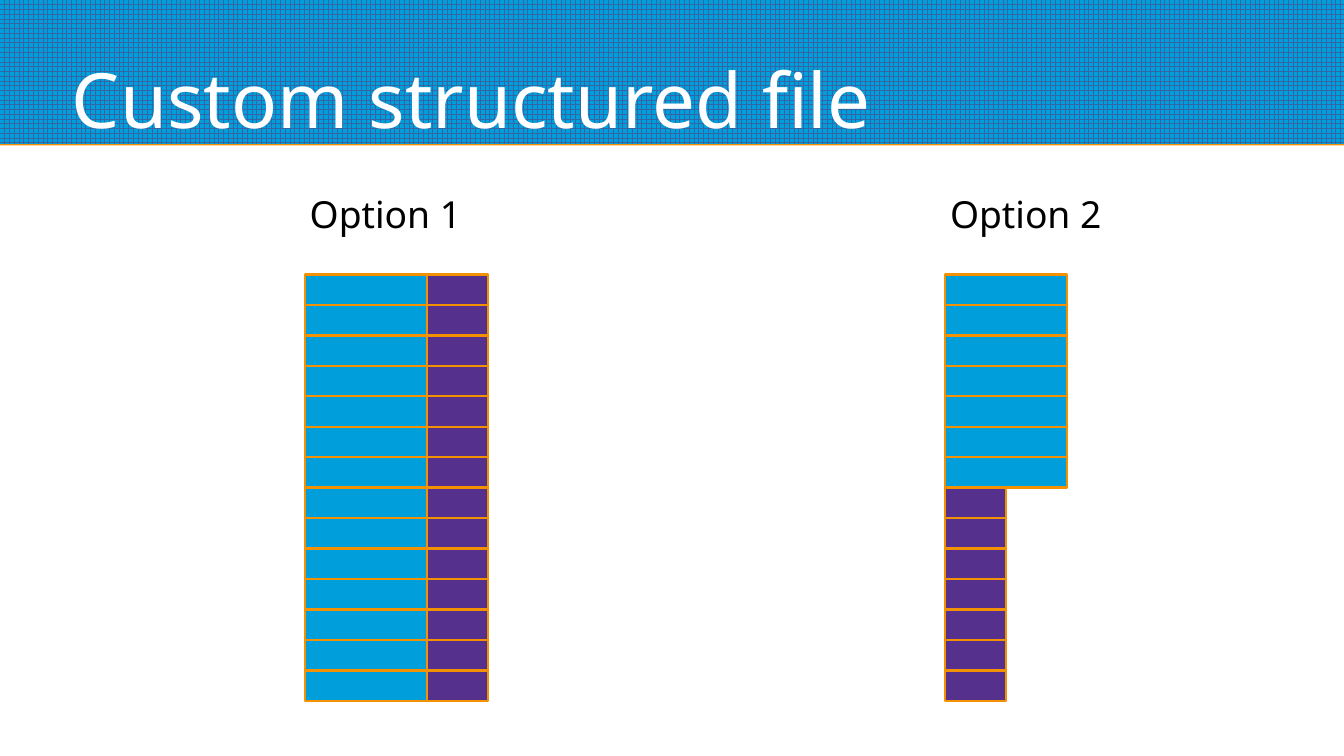
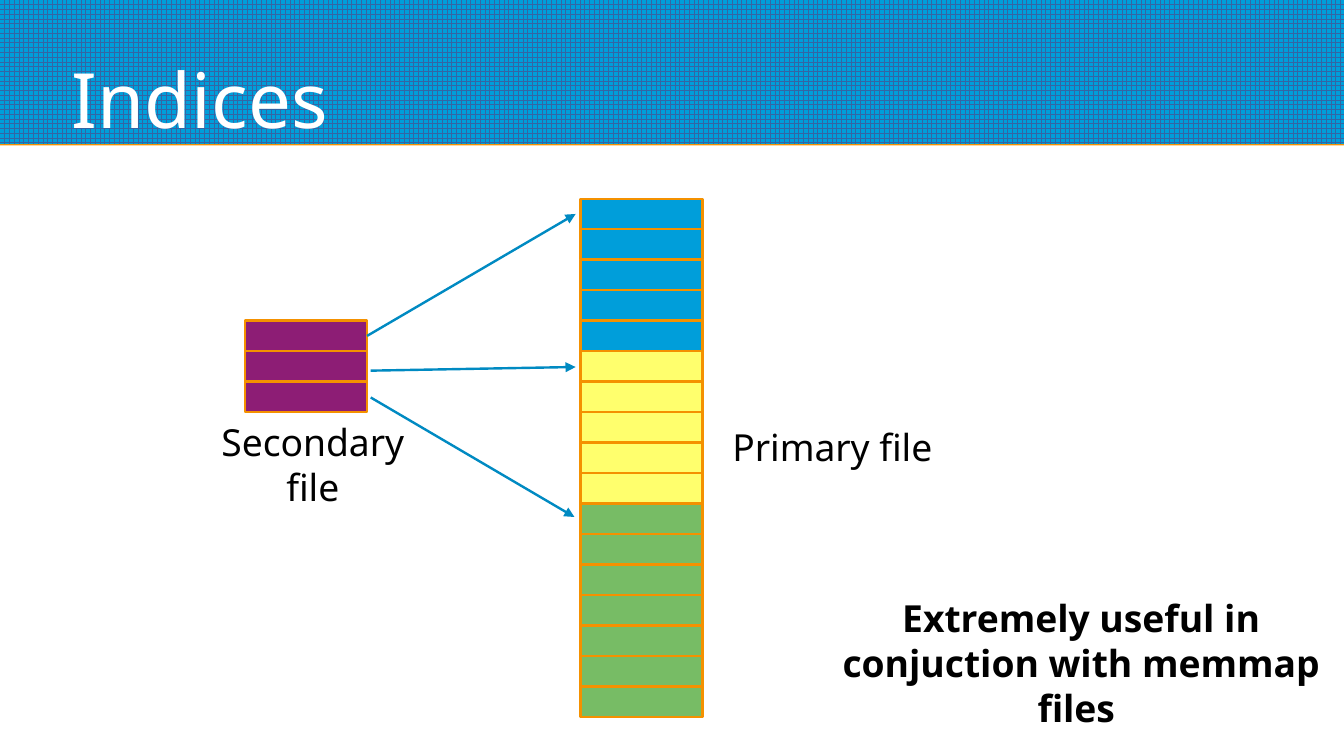
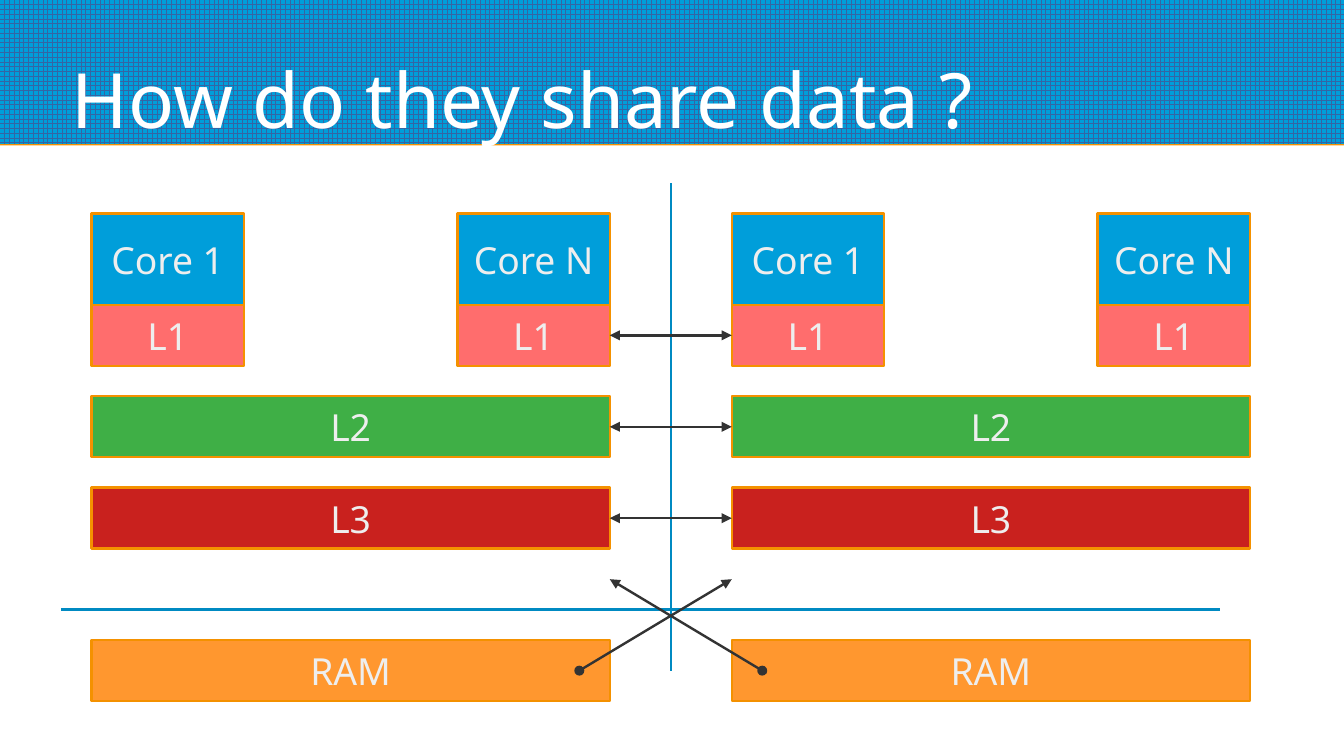
from dataclasses import dataclass

from lxml import etree
from pptx import Presentation
from pptx.dml.color import RGBColor
from pptx.enum.dml import MSO_PATTERN
from pptx.enum.shapes import MSO_CONNECTOR, MSO_SHAPE
from pptx.enum.text import MSO_ANCHOR, MSO_AUTO_SIZE, PP_ALIGN
from pptx.oxml.ns import qn
from pptx.util import Inches, Pt

RECTANGLE = MSO_SHAPE.RECTANGLE
STRAIGHT = MSO_CONNECTOR.STRAIGHT
LARGE_GRID = MSO_PATTERN.LARGE_GRID
MIDDLE, BOTTOM = MSO_ANCHOR.MIDDLE, MSO_ANCHOR.BOTTOM
NO_FIT, GROW = MSO_AUTO_SIZE.NONE, MSO_AUTO_SIZE.SHAPE_TO_FIT_TEXT
LEFT, CENTER = PP_ALIGN.LEFT, PP_ALIGN.CENTER
LEFT_SIDE, RIGHT_SIDE = 1, 3
TITLE_ONLY = 5
SLIDE_WIDTH, SLIDE_HEIGHT, BAND_HEIGHT = 11.02, 6.2, 1.18
TITLE_BOX = (0.59, 0.1, 9.84, 1.08)


@dataclass(frozen=True)
class Theme:
    font: str = "Noto Sans"
    title_size: float = 45
    text_size: float = 22
    line_width: float = 1.42
    inset: float = 0.04
    blue: str = "009EDA"
    band_grid: str = "3465A4"
    outline: str = "F49100"
    violet: str = "55308D"
    plum: str = "8D1D75"
    yellow: str = "FFFF6D"
    soft_green: str = "77BC65"
    coral: str = "FF6D6D"
    green: str = "3FAF46"
    red: str = "C9211E"
    orange: str = "FF972F"
    rule: str = "008AC2"
    arrow: str = "333333"
    white: str = "FFFFFF"
    black: str = "000000"
    pale: str = "EEEEEE"


THEME = Theme()


@dataclass(frozen=True)
class Grid:
    """Quarter-inch cells counted from an origin in inches."""
    x0: float = 0
    y0: float = 0
    cell: float = 0.25

    def point(self, col, row):
        return Inches(self.x0 + col * self.cell), Inches(self.y0 + row * self.cell)

    def box(self, col, row, cols, rows):
        return *self.point(col, row), Inches(cols * self.cell), Inches(rows * self.cell)


PAGE_GRID = Grid()
INDEX_GRID = Grid(0.01, 0.13)

# Stacks: column, first row, columns wide, record count, colour
OPTION_1 = [(10, 9, 4, 14, THEME.blue), (14, 9, 2, 14, THEME.violet)]
OPTION_2 = [(31, 9, 4, 7, THEME.blue), (31, 16, 2, 7, THEME.violet)]
OPTION_LABELS = [("Option 1", (10, 6, 6, 2)), ("Option 2", (31, 6, 6, 2))]

PRIMARY_FILE = [(19, 6, 4, 5, THEME.blue), (19, 11, 4, 5, THEME.yellow),
                (19, 16, 4, 7, THEME.soft_green)]
SECONDARY_FILE = [(8, 10, 4, 3, THEME.plum)]
INDEX_ARROWS = [((12, 10.5), (18.84, 6.5)), ((12.12, 11.64), (18.84, 11.52)),
                ((12.12, 12.52), (18.8, 16.44))]
INDEX_LABELS = [
    ("Secondary file", (6.24, 12.52, 7.96, 4.36), False),
    ("Primary file", (23.28, 11.96, 7.96, 4.36), False),
    ("Extremely useful in conjuction with memmap files ",
     (27.16, 18.56, 16.52, 5.32), True),
]

# Parts of a processor: text, column offset, row, columns, rows, colour
PROCESSOR = [
    ("Core 1", 0, 7, 5, 3, THEME.blue),
    ("Core N", 12, 7, 5, 3, THEME.blue),
    ("RAM", 0, 21, 17, 2, THEME.orange),
    ("L1", 0, 10, 5, 2, THEME.coral),
    ("L1", 12, 10, 5, 2, THEME.coral),
    ("L2", 0, 13, 17, 2, THEME.green),
    ("L3", 0, 16, 17, 2, THEME.red),
]
PROCESSOR_COLUMNS = (3, 24)
# Indices in PROCESSOR: part on the left processor, part on the right one
CACHE_LINKS = [(4, 3), (5, 5), (6, 6)]
DIVIDERS = [((22, 22), (22, 6)), ((2, 20), (40, 20))]
MEMORY_LINKS = [((25, 22), (20, 19)), ((19, 22), (24, 19))]


def rgb(color):
    return RGBColor.from_string(color)


def set_format(target, formats):
    for name, value in formats.items():
        setattr(target, name, value)


def set_frame(frame, inset, **formats):
    margins = ("margin_left", "margin_top", "margin_right", "margin_bottom")
    set_format(frame, dict.fromkeys(margins, Inches(inset)) | formats)


def write(frame, text, color, size=THEME.text_size, align=LEFT, bold=False):
    paragraph = frame.paragraphs[0]
    paragraph.alignment = align
    run = paragraph.add_run()
    run.text = text
    set_format(run.font, {"name": THEME.font, "size": Pt(size), "bold": bold})
    run.font.color.rgb = rgb(color)


def add_box(shapes, place, fill, text=""):
    box = shapes.add_shape(RECTANGLE, *place)
    box.shadow.inherit = False
    box.fill.solid()
    box.fill.fore_color.rgb = rgb(fill)
    box.line.color.rgb = rgb(THEME.outline)
    box.line.width = Pt(THEME.line_width)
    if text:
        set_frame(box.text_frame, THEME.inset, word_wrap=False, vertical_anchor=MIDDLE)
        write(box.text_frame, text, THEME.pale, align=CENTER)
    return box


def add_stacks(shapes, grid, stacks):
    """Draw each stack as one-row records and return all of them."""
    return [add_box(shapes, grid.box(col, top + record, cols, 1), fill)
            for col, top, cols, count, fill in stacks
            for record in range(count)]


def add_label(slide, place, text, **style):
    frame = slide.shapes.add_textbox(*place).text_frame
    set_frame(frame, THEME.inset, word_wrap=True, auto_size=GROW, vertical_anchor=MIDDLE)
    write(frame, text, THEME.black, **style)


def add_line(slide, start, end, color, head=None, tail=None):
    line = slide.shapes.add_connector(STRAIGHT, *start, *end)
    line.line.color.rgb = rgb(color)
    line.line.width = Pt(THEME.line_width)
    properties = line.element.spPr
    stroke = properties.find(qn("a:ln"))
    for tag, kind in (("a:headEnd", head), ("a:tailEnd", tail)):
        if kind:
            etree.SubElement(stroke, qn(tag), type=kind)
    etree.SubElement(properties, qn("a:effectLst"))
    return line


def prepare_layout(prs):
    """Give the title layout its band and its title position."""
    layout = prs.slide_layouts[TITLE_ONLY]
    title = next(p for p in layout.placeholders if p.placeholder_format.idx == 0)
    sides = ("left", "top", "width", "height")
    set_format(title, dict(zip(sides, map(Inches, TITLE_BOX))))
    set_frame(title.text_frame, 0, vertical_anchor=BOTTOM, auto_size=NO_FIT, word_wrap=True)
    return layout


def add_band(slide, layout):
    """Build the band with slide tools, then move it to the back of the layout."""
    band = slide.shapes.add_shape(RECTANGLE, 0, 0, Inches(SLIDE_WIDTH), Inches(BAND_HEIGHT))
    band.line.fill.background()
    band.fill.patterned()
    band.fill.pattern = LARGE_GRID
    band.fill.fore_color.rgb = rgb(THEME.band_grid)
    band.fill.back_color.rgb = rgb(THEME.blue)
    band.shadow.inherit = False
    effects = band.element.spPr.find(qn("a:effectLst"))
    shadow = etree.SubElement(effects, qn("a:outerShdw"), blurRad="0",
                              dist=str(Pt(0.9)), dir="5400000", rotWithShape="0")
    etree.SubElement(shadow, qn("a:srgbClr"), val=THEME.outline)
    layout.shapes.element.insert(2, band.element)


def add_slide(prs, layout, title):
    slide = prs.slides.add_slide(layout)
    write(slide.shapes.title.text_frame, title, THEME.white, THEME.title_size)
    return slide


def fill_file_slide(slide):
    add_stacks(slide.shapes.add_group_shape().shapes, PAGE_GRID, OPTION_1)
    add_stacks(slide.shapes, PAGE_GRID, OPTION_2)
    for text, cells in OPTION_LABELS:
        add_label(slide, PAGE_GRID.box(*cells), text)


def fill_index_slide(slide):
    add_stacks(slide.shapes, INDEX_GRID, PRIMARY_FILE)
    entries = add_stacks(slide.shapes, INDEX_GRID, SECONDARY_FILE)
    arrows = [add_line(slide, INDEX_GRID.point(*start), INDEX_GRID.point(*end),
                       THEME.rule, tail="triangle")
              for start, end in INDEX_ARROWS]
    arrows[0].begin_connect(entries[0], RIGHT_SIDE)
    for text, cells, bold in INDEX_LABELS:
        add_label(slide, INDEX_GRID.box(*cells), text, align=CENTER, bold=bold)


def fill_sharing_slide(slide):
    left, right = [
        [add_box(slide.shapes, PAGE_GRID.box(first + col, row, cols, rows), fill, text)
         for text, col, row, cols, rows, fill in PROCESSOR]
        for first in PROCESSOR_COLUMNS]
    for start, end in DIVIDERS:
        add_line(slide, PAGE_GRID.point(*start), PAGE_GRID.point(*end), THEME.rule)
    for start, end in MEMORY_LINKS:
        add_line(slide, PAGE_GRID.point(*start), PAGE_GRID.point(*end), THEME.arrow,
                 head="oval", tail="triangle")
    for left_part, right_part in CACHE_LINKS:
        link = add_line(slide, (0, 0), (0, 0), THEME.arrow, head="triangle", tail="triangle")
        link.begin_connect(left[left_part], RIGHT_SIDE)
        link.end_connect(right[right_part], LEFT_SIDE)


SLIDES = [("Custom structured file", fill_file_slide),
          ("Indices", fill_index_slide),
          ("How do they share data ?", fill_sharing_slide)]


def main():
    prs = Presentation()
    prs.slide_width, prs.slide_height = Inches(SLIDE_WIDTH), Inches(SLIDE_HEIGHT)
    layout = prepare_layout(prs)
    for title, fill_slide in SLIDES:
        fill_slide(add_slide(prs, layout, title))
    add_band(prs.slides[0], layout)
    prs.save("out.pptx")


if __name__ == "__main__":
    main()
